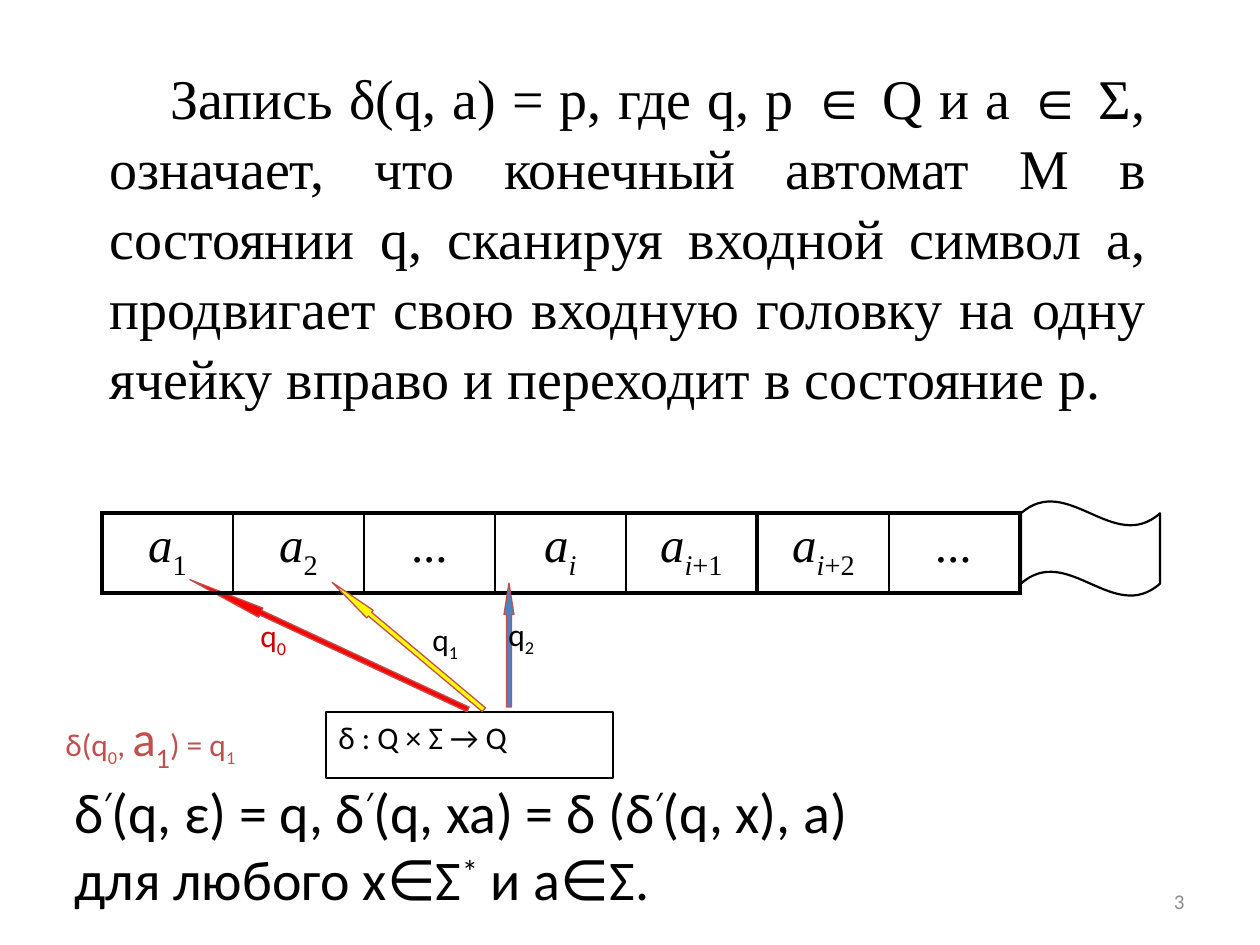
from lxml.etree import SubElement
from pptx import Presentation
from pptx.dml.color import RGBColor
from pptx.enum.shapes import MSO_SHAPE
from pptx.enum.text import MSO_ANCHOR, PP_ALIGN
from pptx.oxml.ns import qn
from pptx.util import Emu, Pt

BLACK = RGBColor(0x00, 0x00, 0x00)
WHITE = RGBColor(0xFF, 0xFF, 0xFF)
GRAY = RGBColor(0x8C, 0x8C, 0x8C)
RED = RGBColor(0xFF, 0x00, 0x00)
DARK_RED = RGBColor(0xCC, 0x00, 0x00)
BRICK = RGBColor(0xC0, 0x50, 0x4D)
YELLOW = RGBColor(0xFF, 0xFF, 0x00)
BLUE = RGBColor(0x4F, 0x81, 0xBD)

SERIF = "Times New Roman"
SUB = {"base": -25}
SUP = {"base": 30}
ITALIC = {"italic": True}
ITALIC_SUB = {**ITALIC, **SUB}
THIN, THICK = 1, 2.25


def px(n):
    return Emu(round(n * 914400 / 126))


def add_run(p, text, size=18, font="Calibri", color=BLACK, italic=False, base=0):
    r = p.add_run()
    r.text = text
    r.font.size = Pt(size)
    r.font.name = font
    r.font.color.rgb = color
    r.font.italic = italic
    if base:
        r._r.get_or_add_rPr().set("baseline", str(base * 1000))


class SlideBuilder:
    def __init__(self, slide):
        self.s = slide

    def fill_text(self, tf, paragraphs, align=PP_ALIGN.LEFT, indent=0, spacing=None, **style):
        tf.word_wrap = True
        for i, parts in enumerate(paragraphs):
            p = tf.add_paragraph() if i else tf.paragraphs[0]
            p.alignment = align
            if spacing:
                p.line_spacing = spacing
            if indent:
                p._p.get_or_add_pPr().set("indent", str(px(indent)))
            for text, changes in parts:
                add_run(p, text, **{**style, **changes})

    def text(self, x, y, w, h, paragraphs, anchor=MSO_ANCHOR.TOP, parent=None, **style):
        sp = (parent or self.s).shapes.add_textbox(px(x), px(y), px(w), px(h))
        sp.text_frame.vertical_anchor = anchor
        self.fill_text(sp.text_frame, paragraphs, **style)

    def shape(self, kind, x, y, w, h, fill=None, line=BLACK, width=1.25, adj=(), parent=None):
        sp = (parent or self.s).shapes.add_shape(kind, px(x), px(y), px(w), px(h))
        sp.shadow.inherit = False
        if fill is None:
            sp.fill.background()
        else:
            sp.fill.solid()
            sp.fill.fore_color.rgb = fill
        sp.line.color.rgb = line
        sp.line.width = Pt(width)
        for i, value in enumerate(adj):
            sp.adjustments[i] = value
        return sp

    def move(self, arrow, angle, head, fill, label, state, color=BLACK):
        group = self.s.shapes.add_group_shape()
        sp = self.shape(MSO_SHAPE.UP_ARROW, *arrow, fill=fill, line=BRICK,
                        width=0.75, adj=(0.5, head), parent=group)
        sp.rotation = angle
        self.text(*label, [[("q", {}), (state, SUB)]], parent=group, color=color)

    def border(self, cell, sides):
        tc_pr = cell._tc.get_or_add_tcPr()
        for side, width in sides:
            ln = SubElement(tc_pr, qn(f"a:ln{side}"), w=str(Pt(width)))
            fill = SubElement(ln, qn("a:solidFill"))
            SubElement(fill, qn("a:srgbClr"), val=str(BLACK))

    def tape(self, x, y, cell_w, h, cells, left, right):
        n = len(cells)
        frame = self.s.shapes.add_table(1, n, px(x), px(y), px(cell_w * n), px(h))
        table = frame.table
        table.first_row = table.horz_banding = False
        table.rows[0].height = px(h)
        for i, parts in enumerate(cells):
            table.columns[i].width = px(cell_w)
            cell = table.cell(0, i)
            self.border(cell, (("L", THIN if i else left),
                               ("R", THIN if i < n - 1 else right),
                               ("T", THICK), ("B", THICK)))
            cell.fill.background()
            self.fill_text(cell.text_frame, [parts], align=PP_ALIGN.CENTER,
                           size=28, font=SERIF)


def symbol(*index):
    return [("a", ITALIC), *index]


def main():
    prs = Presentation()
    prs.slide_width, prs.slide_height = px(1260), px(945)
    b = SlideBuilder(prs.slides.add_slide(prs.slide_layouts[6]))

    b.text(903, 876, 294, 50, [[("3", {})]], anchor=MSO_ANCHOR.MIDDLE,
           align=PP_ALIGN.RIGHT, size=12, color=GRAY)
    b.text(97, 55, 1062, 352, [[(
        "Запись δ(q, a) = p, где q, p ∈ Q и a ∈ Σ, означает, что конечный автомат M "
        "в состоянии q, сканируя входной символ a, продвигает свою входную головку "
        "на одну ячейку вправо и переходит в состояние p.", {})]],
        align=PP_ALIGN.JUSTIFY, indent=61, spacing=1.04, size=32, font=SERIF)
    prime = ("′", SUP)
    b.text(62, 771, 1076, 149, [
        [("δ", {}), prime, ("(q, ε) = q, δ", {}), prime,
         ("(q, xa) = δ (δ", {}), prime, ("(q, x), a)", {})],
        [("для любого x∈Σ", {}), ("*", SUP), (" и a∈Σ.", {})],
    ], size=32)

    control = b.shape(MSO_SHAPE.RECTANGLE, 326, 712, 287, 66)
    control.text_frame.vertical_anchor = MSO_ANCHOR.TOP
    b.fill_text(control.text_frame, [[("δ : Q × Σ → Q", {})]])

    b.move((324, 491, 10, 307), 295, 7.81, RED, (248, 610, 69, 63), "0", DARK_RED)
    b.text(53, 701, 268, 72, [[
        ("δ(q", {}), ("0", SUB), (", ", {}), ("a", {"size": 28}),
        ("1", {"size": 28, **SUB}), (") = q", {}), ("1", SUB)]], color=BRICK)

    b.shape(MSO_SHAPE.WAVE, 1021, 501, 139, 95, fill=WHITE, adj=(0.13, 0))
    i = ("i", ITALIC_SUB)
    b.tape(102, 513, 131, 80, [
        symbol(("1", SUB)), symbol(("2", SUB)), [("...", {})],
        symbol(i), symbol(i, ("+1", SUB))], THICK, THICK)
    b.tape(758, 513, 131, 80, [symbol(i, ("+2", SUB)), [("...", ITALIC)]], THIN, THICK)

    b.move((403, 547, 10, 198), 310, 4.93, YELLOW, (420, 614, 79, 63), "1")
    b.move((504, 583, 10, 124), 0, 3.15, BLUE, (496, 609, 79, 63), "2")

    prs.save("out.pptx")


if __name__ == "__main__":
    main()
